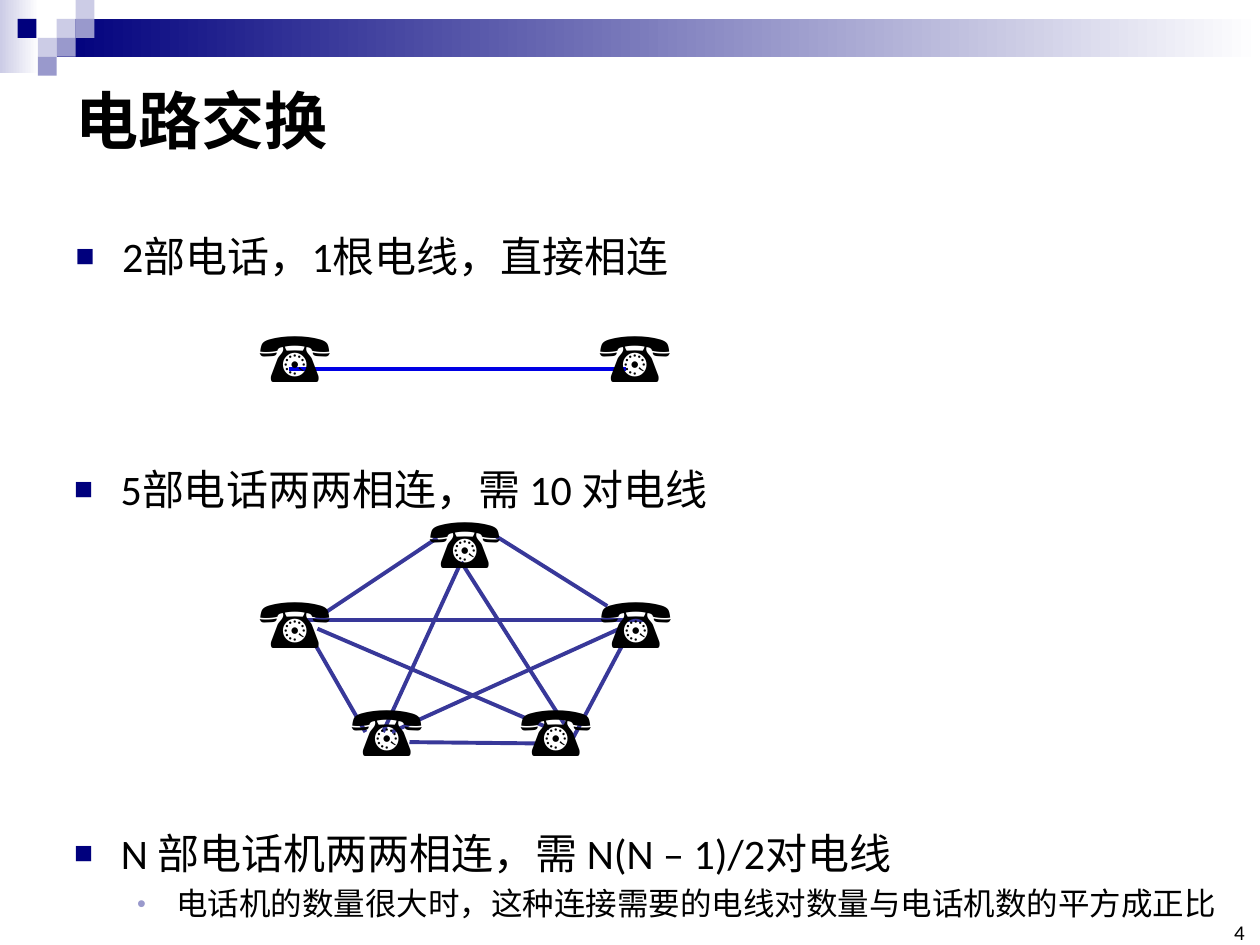
from lxml.etree import SubElement
from pptx import Presentation
from pptx.dml.color import RGBColor
from pptx.enum.shapes import MSO_CONNECTOR as CONNECTOR, MSO_SHAPE as SHAPE
from pptx.enum.text import MSO_ANCHOR as ANCHOR, MSO_AUTO_SIZE as AUTOSIZE, PP_ALIGN as ALIGN
from pptx.oxml.ns import qn
from pptx.util import Inches, Pt

COLUMNS, ROWS = 100, 75
WIDTH, HEIGHT = Inches(10), Inches(7.5)
TILE = 1.5

BLACK = RGBColor(0x00, 0x00, 0x00)
WHITE = RGBColor(0xFF, 0xFF, 0xFF)
NAVY = RGBColor(0x00, 0x00, 0x7D)
LAVENDER = RGBColor(0xCC, 0xCC, 0xE6)
PERIWINKLE = RGBColor(0x99, 0x99, 0xCC)
DIRECT_WIRE = RGBColor(0x00, 0x00, 0xE4)
MESH_WIRE = RGBColor(0x38, 0x38, 0x99)

LATIN, CHINESE, SYMBOL = "Calibri", "Noto Sans CJK SC", "Times New Roman"

MOSAIC = [(3, 1, LAVENDER), (4, 0, LAVENDER), (4, 1, PERIWINKLE), (2, 2, LAVENDER),
          (0.93, 1, NAVY), (3, 2, PERIWINKLE), (2, 3, PERIWINKLE)]

PAIR_PHONES = [(19.6, 24.3), (46.6, 24.3)]
PAIR_WIRES = [(22.9, 29.3, 49.7, 29.3)]
MESH_PHONES = [(46.7, 45.4), (19.6, 45.4), (40.3, 54), (26.9, 54), (33.1, 39.1)]
MESH_WIRES = [(24.4, 49.2, 51.3, 49.2), (25.1, 49.1, 34.7, 42.7), (38.8, 42.2, 48.2, 48.1),
              (24.7, 50.6, 29, 58.1), (32.5, 58.9, 42.5, 59), (45.2, 59.1, 49.5, 51),
              (36.6, 44.6, 30.4, 58.1), (36.6, 44.6, 45.2, 58.1),
              (25.2, 49.9, 43.6, 57.8), (49.4, 49.8, 31.1, 58.1)]


def across(columns):
    return round(WIDTH * columns / COLUMNS)


def down(rows):
    return round(HEIGHT * rows / ROWS)


def area(left, top, width, height):
    return across(left), down(top), across(width), down(height)


def write(paragraph, text, size=24, font=LATIN, asian=CHINESE, bold=False, align=ALIGN.LEFT):
    paragraph.alignment = align
    run = paragraph.add_run()
    run.text = text
    run.font.size, run.font.name, run.font.bold = Pt(size), font, bold
    run.font.color.rgb = BLACK
    if asian:
        SubElement(run.font._element, qn("a:ea"), typeface=asian)


def add_bullet(paragraph, symbol, color, percent, margin, hanging):
    properties = paragraph._p.get_or_add_pPr()
    properties.set("marL", str(Inches(margin)))
    properties.set("indent", str(-Inches(hanging)))
    tint = SubElement(properties, qn("a:buClr"))
    SubElement(tint, qn("a:srgbClr"), val=str(color))
    SubElement(properties, qn("a:buSzPct"), val=str(percent * 1000))
    SubElement(properties, qn("a:buFont"), typeface="Arial")
    SubElement(properties, qn("a:buChar"), char=symbol)


def write_point(paragraph, text):
    paragraph.line_spacing, paragraph.space_before = 1.5, Pt(4.8)
    add_bullet(paragraph, "■", NAVY, 75, 0.37, 0.37)
    write(paragraph, text)


def write_detail(paragraph, text):
    paragraph.level = 1
    paragraph.line_spacing, paragraph.space_before = 1.0, Pt(3.6)
    add_bullet(paragraph, "•", PERIWINKLE, 80, 0.81, 0.31)
    write(paragraph, text, size=18)


def fill_placeholder(holder, bounds, anchor):
    holder.left, holder.top, holder.width, holder.height = area(*bounds)
    frame = holder.text_frame
    frame.auto_size, frame.vertical_anchor = AUTOSIZE.NONE, anchor
    return frame.paragraphs[0]


def add_text_area(slide, bounds, wrap=True):
    frame = slide.shapes.add_textbox(*area(*bounds)).text_frame
    frame.word_wrap = wrap
    return frame


def add_block(slide, bounds, color, fade=False):
    block = slide.shapes.add_shape(SHAPE.RECTANGLE, *area(*bounds))
    block.shadow.inherit = False
    block.line.fill.background()
    if fade:
        block.fill.gradient()
        block.fill.gradient_angle = 0
        for stop, tint, position in zip(block.fill.gradient_stops, (color, WHITE), (0, 1)):
            stop.color.rgb, stop.position = tint, position
    else:
        block.fill.solid()
        block.fill.fore_color.rgb = color


def add_banner(slide):
    add_block(slide, (0, 0, 3.1, 5.8), LAVENDER, fade=True)
    add_block(slide, (3 * TILE, TILE, COLUMNS - 3 * TILE, 2 * TILE), NAVY, fade=True)
    for column, row, color in MOSAIC:
        add_block(slide, (column * TILE, row * TILE, TILE, TILE), color)


def add_wire(slide, ends, color):
    x1, y1, x2, y2 = ends
    wire = slide.shapes.add_connector(CONNECTOR.STRAIGHT, across(x1), down(y1), across(x2), down(y2))
    wire.line.color.rgb, wire.line.width = color, Pt(2.25)
    SubElement(wire._element.spPr, qn("a:effectLst"))


def add_network(slide, phones, wires, color):
    for ends in wires:
        add_wire(slide, ends, color)
    for left, top in phones:
        phone = add_text_area(slide, (left, top, 9.4, 7.7), wrap=False)
        write(phone.paragraphs[0], "☎", size=40, font=SYMBOL, asian=None)


def add_page_number(slide, number):
    frame = add_text_area(slide, (96.5, 73.3, 2.3, 1.7))
    frame.margin_left = frame.margin_right = frame.margin_top = frame.margin_bottom = 0
    frame.vertical_anchor = ANCHOR.BOTTOM
    write(frame.paragraphs[0], number, size=12, align=ALIGN.RIGHT)


def main():
    deck = Presentation()
    deck.slide_width, deck.slide_height = WIDTH, HEIGHT
    slide = deck.slides.add_slide(deck.slide_layouts[1])
    add_banner(slide)

    title = fill_placeholder(slide.shapes.title, (5, 5, 90, 8.9), ANCHOR.MIDDLE)
    write(title, "电路交换", size=36, font=CHINESE, bold=True)
    pair = fill_placeholder(slide.placeholders[1], (5, 15.8, 90, 8.5), ANCHOR.TOP)
    write_point(pair, "2部电话，1根电线，直接相连")
    add_network(slide, PAIR_PHONES, PAIR_WIRES, DIRECT_WIRE)

    mesh = add_text_area(slide, (4.9, 34.3, 90, 8.5))
    write_point(mesh.paragraphs[0], "5部电话两两相连，需 10 对电线")
    add_network(slide, MESH_PHONES, MESH_WIRES, MESH_WIRE)

    general = add_text_area(slide, (4.9, 63.2, 95.1, 11.8))
    write_point(general.paragraphs[0], "N 部电话机两两相连，需 N(N – 1)/2对电线")
    write_detail(general.add_paragraph(),
                 "电话机的数量很大时，这种连接需要的电线对数量与电话机数的平方成正比")
    add_page_number(slide, "4")
    deck.save("out.pptx")


if __name__ == "__main__":
    main()
